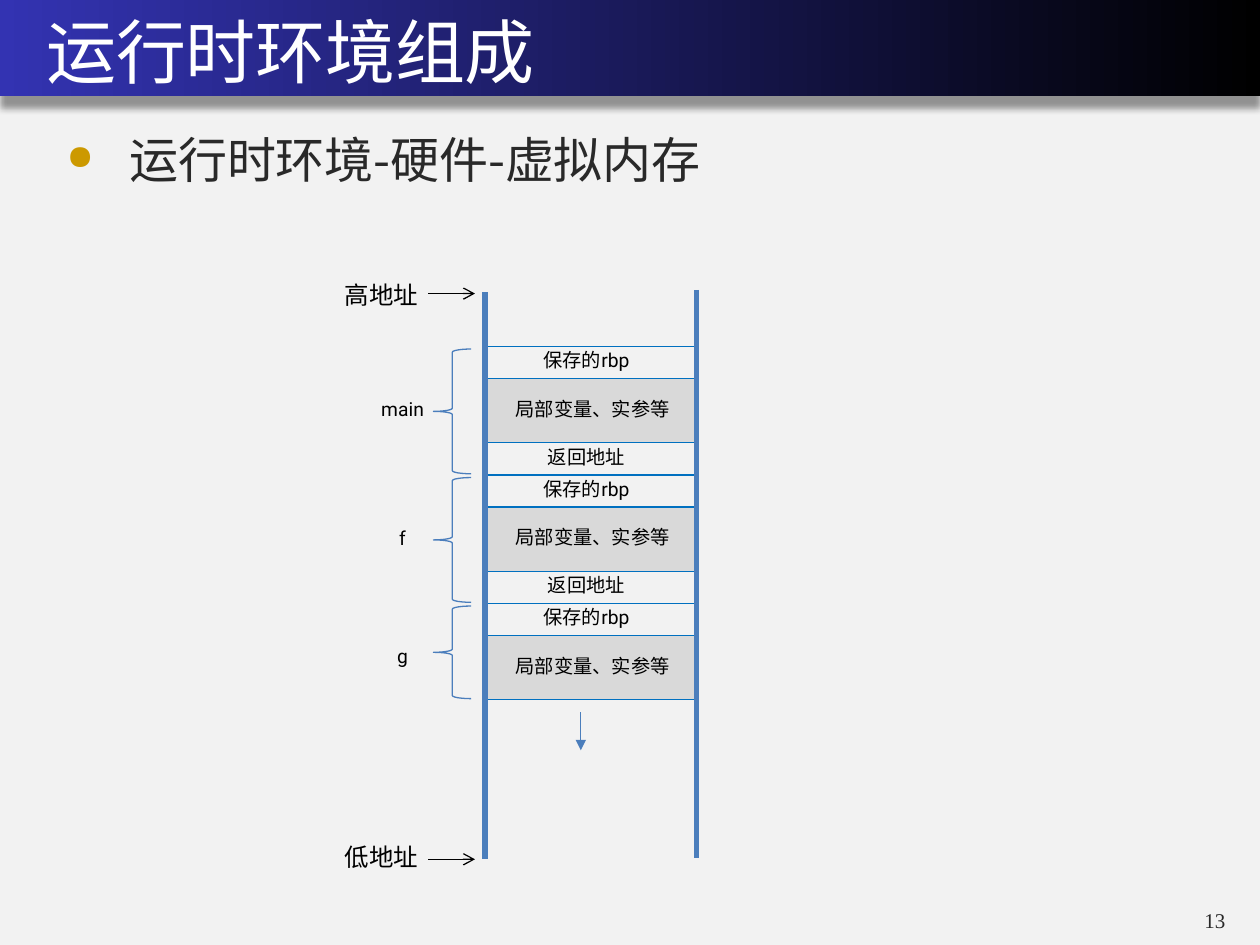
"""Build the slide on the virtual memory stack layout of a runtime environment."""
from lxml import etree
from pptx import Presentation, util as u
from pptx.dml.color import RGBColor
from pptx.enum import shapes, text
from pptx.oxml.ns import qn

TITLE = "运行时环境组成"
BULLET = "运行时环境-硬件-虚拟内存"
PAGE_NUMBER = "13"
SAVED, LOCALS, RETURN = "保存的rbp", "局部变量、实参等", "返回地址"
FRAMES = [
    ("main", 3.14, [SAVED, LOCALS, RETURN]),
    ("f", 4.17, [SAVED, LOCALS, RETURN]),
    ("g", 5.1, [SAVED, LOCALS]),
]
CELLS = {
    SAVED: {"units": 1, "left": 4.21, "width": 0.88},
    LOCALS: {"units": 2, "left": 4.02, "width": 1.36},
    RETURN: {"units": 1, "left": 4.21, "width": 0.88},
}
ADDRESSES = [("高地址", 2.21, 2.33), ("低地址", 6.67, 6.82)]
RAILS = [(3.85, 2.32, 6.82), (5.53, 2.3, 6.81)]

THEME = {
    "background": "F2F2F2", "bar_start": "000000", "bar_end": "3333B2",
    "light": "FFFFFF", "dark": "292929", "black": "000000", "bullet": "CC9900",
    "cell": "D9D9D9", "border": "0070C0", "rail": "4B7EBC",
    "cjk": "Noto Sans CJK SC", "label": "Roboto", "number": "Times New Roman",
    "title_size": 40, "bullet_size": 28, "address_size": 14,
    "number_size": 12, "label_size": 11, "thin": 0.75, "thick": 3,
}
WIDTH, HEIGHT = 10, 7.5
STACK_LEFT, STACK_TOP, STACK_WIDTH, UNIT = 3.85, 2.75, 1.69, 0.255
BRACE_LEFT, BRACE_WIDTH = 3.44, 0.3
LABEL_LEFT, LABEL_WIDTH, LABEL_HEIGHT = 2.75, 0.88, 0.2


def color(name):
    return RGBColor.from_string(THEME[name])


def add_element(parent, tag, **attributes):
    return etree.SubElement(parent, qn(tag), attributes)


def add_shape(slide, kind, box, fill=None, line=None):
    shape = slide.shapes.add_shape(kind, *map(u.Inches, box))
    shape.shadow.inherit = False
    if fill:
        shape.fill.solid()
        shape.fill.fore_color.rgb = color(fill)
    else:
        shape.fill.background()
    if line:
        shape.line.color.rgb = color(line)
        shape.line.width = u.Pt(THEME["thin"])
    else:
        shape.line.fill.background()
    return shape


def add_text(slide, words, box, font, size, ink, inset=0.01, indent=(0.11, -0.1),
             align=text.PP_ALIGN.CENTER, bullet=None, spacing=None):
    frame = slide.shapes.add_textbox(*map(u.Inches, box)).text_frame
    frame.word_wrap = True
    frame.auto_size = text.MSO_AUTO_SIZE.SHAPE_TO_FIT_TEXT
    frame.margin_left = frame.margin_right = frame.margin_bottom = 0
    frame.margin_top = u.Inches(inset)
    paragraph = frame.paragraphs[0]
    paragraph.alignment = align
    properties = paragraph._p.get_or_add_pPr()
    properties.set("marL", str(u.Inches(indent[0])))
    properties.set("indent", str(u.Inches(indent[1])))
    if bullet:
        add_element(add_element(properties, "a:buClr"), "a:srgbClr", val=THEME["bullet"])
        add_element(properties, "a:buSzPct", val="70000")
        add_element(properties, "a:buChar", char=bullet)
    run = paragraph.add_run()
    run.text = words
    run.font.name = THEME[font]
    run.font.size = u.Pt(THEME[size])
    run.font.color.rgb = color(ink)
    run_properties = run._r.get_or_add_rPr()
    add_element(run_properties, "a:ea", typeface=THEME["cjk"])
    if spacing:
        run_properties.set("spc", str(spacing))
    return paragraph


def add_line(slide, start, end, ink, width="thin", arrow=None):
    line = slide.shapes.add_connector(
        shapes.MSO_CONNECTOR.STRAIGHT, *map(u.Inches, (*start, *end)))
    line.line.color.rgb = color(ink)
    line.line.width = u.Pt(THEME[width])
    if arrow:
        add_element(line.line._get_or_add_ln(), "a:tailEnd", type=arrow)
    add_element(line._element.spPr, "a:effectLst")


def add_header(slide):
    bar = add_shape(slide, shapes.MSO_SHAPE.RECTANGLE, (0, 0, WIDTH, 0.76))
    bar.fill.gradient()
    bar.fill.gradient_angle = 180
    for stop, name in zip(bar.fill.gradient_stops, ("bar_start", "bar_end")):
        stop.color.rgb = color(name)
    effects = bar._element.spPr.find(qn("a:effectLst"))
    shadow = add_element(effects, "a:outerShdw", blurRad=str(u.Pt(4)), dist=str(u.Pt(7)),
                         dir="5400000", algn="t", rotWithShape="0")
    shade = add_element(shadow, "a:srgbClr", val=THEME["black"])
    add_element(shade, "a:alpha", val="40000")
    left = text.PP_ALIGN.LEFT
    add_text(slide, TITLE, (0.36, 0.06, 4.47, 0.69), "cjk", "title_size", "light",
             indent=(0.01, 0), align=left, spacing=-10)
    add_text(slide, BULLET, (0.53, 0.92, 9.34, 0.58), "cjk", "bullet_size", "dark",
             inset=0.11, indent=(0.5, -0.5), align=left, bullet="●", spacing=-10)
    number = add_text(slide, PAGE_NUMBER, (9.35, 7.23, 0.5, 0.17), "number", "number_size",
                      "dark", inset=0, indent=(0.21, 0), align=left)
    number.line_spacing = u.Pt(12.2)


def add_stack(slide):
    top = STACK_TOP
    for name, label_top, cells in FRAMES:
        frame_top = top
        for words in cells:
            cell = CELLS[words]
            height = cell["units"] * UNIT
            add_shape(slide, shapes.MSO_SHAPE.RECTANGLE,
                      (STACK_LEFT, top, STACK_WIDTH, height),
                      "cell" if words == LOCALS else None, "border")
            text_top = top + (height - LABEL_HEIGHT) / 2 - 0.02
            add_text(slide, words, (cell["left"], text_top, cell["width"], LABEL_HEIGHT),
                     "label", "label_size", "black")
            top += height
        add_shape(slide, shapes.MSO_SHAPE.LEFT_BRACE,
                  (BRACE_LEFT, frame_top + 0.02, BRACE_WIDTH, top - frame_top - 0.03),
                  line="rail")
        add_text(slide, name, (LABEL_LEFT, label_top, LABEL_WIDTH, LABEL_HEIGHT),
                 "label", "label_size", "black")
    add_line(slide, (4.61, top + 0.1), (4.61, top + 0.4), "rail", arrow="triangle")


def add_addresses(slide):
    for words, top, arrow_y in ADDRESSES:
        add_text(slide, words, (2.54, top, 0.97, 0.25), "label", "address_size", "black")
        add_line(slide, (3.4, arrow_y), (3.77, arrow_y), "black", arrow="arrow")
    for x, top, bottom in RAILS:
        add_line(slide, (x, top), (x, bottom), "rail", "thick")


def main():
    presentation = Presentation()
    presentation.slide_width, presentation.slide_height = u.Inches(WIDTH), u.Inches(HEIGHT)
    slide = presentation.slides.add_slide(presentation.slide_layouts[6])
    slide.background.fill.solid()
    slide.background.fill.fore_color.rgb = color("background")
    add_header(slide)
    add_stack(slide)
    add_addresses(slide)
    presentation.save("out.pptx")


if __name__ == "__main__":
    main()
